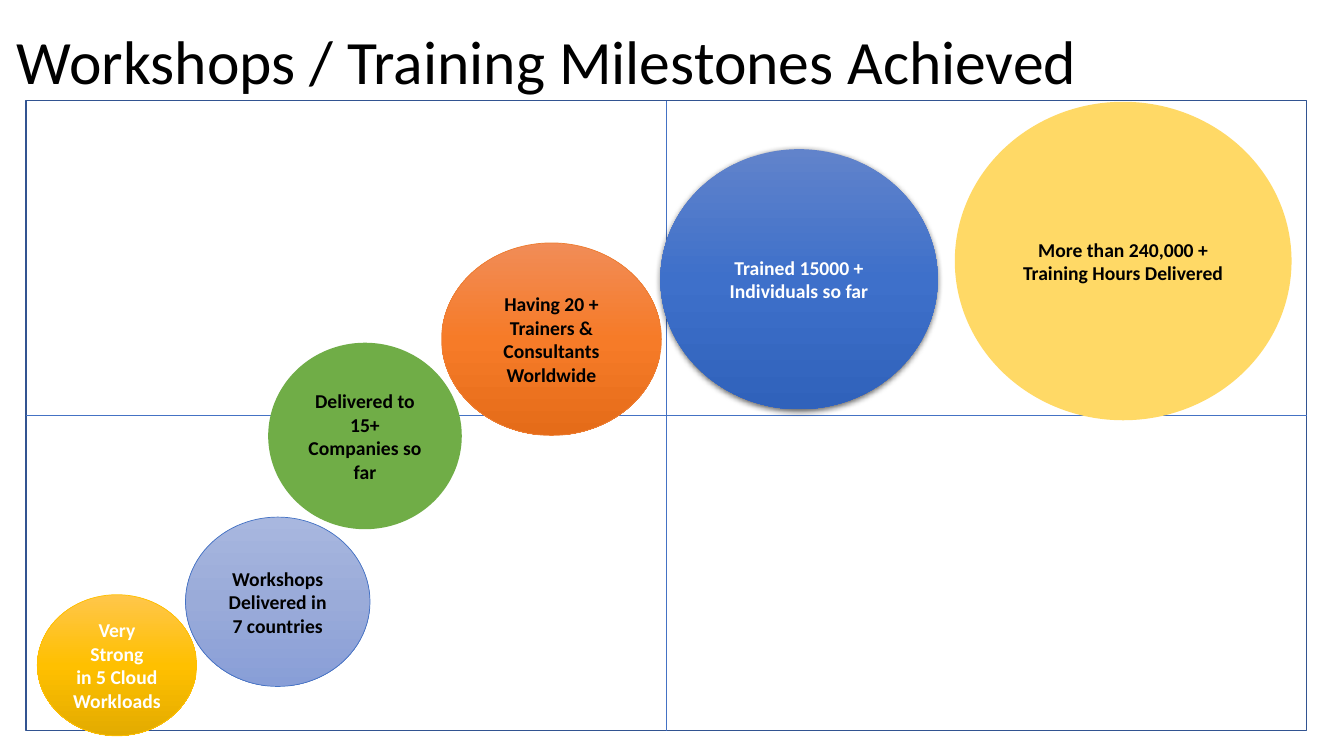
from lxml.etree import SubElement
from copy import deepcopy
from pptx import Presentation
from pptx.dml.color import RGBColor
from pptx.enum.shapes import MSO_CONNECTOR, MSO_SHAPE
from pptx.enum.text import MSO_ANCHOR, PP_ALIGN
from pptx.oxml.ns import qn
from pptx.util import Inches, Pt

FONT = "Calibri"
BLACK = RGBColor(0x00, 0x00, 0x00)
WHITE = RGBColor(0xFF, 0xFF, 0xFF)
NAVY = RGBColor(0x32, 0x54, 0x91)
BLUE = RGBColor(0x44, 0x72, 0xC4)
ORANGE = RGBColor(0xED, 0x7D, 0x31)
GOLD = RGBColor(0xFF, 0xC0, 0x00)
GREEN = RGBColor(0x70, 0xAD, 0x47)
PALE_GOLD = RGBColor(0xFF, 0xD9, 0x66)
GOLD_SHADES = (RGBColor(0xFF, 0xC6, 0x4B), GOLD, RGBColor(0xE3, 0xAB, 0x00))
LILAC_SHADES = (RGBColor(0xA8, 0xB7, 0xDF), RGBColor(0x9A, 0xAB, 0xD9), RGBColor(0x88, 0x9E, 0xD7))
ORANGE_SHADES = (RGBColor(0xF1, 0x8C, 0x57), RGBColor(0xF6, 0x7B, 0x28), RGBColor(0xE5, 0x6C, 0x19))
BLUE_SHADES = (RGBColor(0x61, 0x83, 0xCB), RGBColor(0x3E, 0x70, 0xCA), RGBColor(0x30, 0x62, 0xBB))

# Box relative to the grid, lines of text, text colour, fill shades, outline, shadow
MILESTONES = [
    ((0.11, 4.9, 1.58, 1.4), ["Very Strong", "in 5 Cloud Workloads"], WHITE, GOLD_SHADES, GOLD, False),
    ((1.58, 4.13, 1.83, 1.68), ["Workshops Delivered in 7 countries"], BLACK, LILAC_SHADES, BLUE, False),
    ((2.4, 2.4, 1.92, 1.85), ["Delivered to 15+ Companies so far"], BLACK, (GREEN,), None, False),
    ((4.12, 1.41, 2.18, 1.91), ["Having 20 + Trainers & Consultants Worldwide"], BLACK, ORANGE_SHADES, ORANGE, False),
    ((6.29, 0.48, 2.75, 2.58), ["Trained 15000 + Individuals so far"], WHITE, BLUE_SHADES, None, True),
    ((9.21, 0.01, 3.34, 3.16), ["More than 240,000 + Training Hours Delivered"], BLACK, (PALE_GOLD,), None, False),
]


def style_text(paragraph, size, color, bold=False):
    for run in paragraph.runs:
        run.font.name = FONT
        run.font.size = Pt(size)
        run.font.bold = bold
        run.font.color.rgb = color


def fill_shades(shape, shades):
    """Solid fill for one shade, otherwise an even top-to-bottom gradient."""
    if len(shades) == 1:
        shape.fill.solid()
        shape.fill.fore_color.rgb = shades[0]
        return
    shape.fill.gradient()
    shape.fill.gradient_angle = 270
    stop_list = shape._element.spPr.find(".//" + qn("a:gsLst"))
    while len(stop_list) < len(shades):
        stop_list.append(deepcopy(stop_list[0]))
    for index, (stop, shade) in enumerate(zip(shape.fill.gradient_stops, shades)):
        stop.position = index / (len(shades) - 1)
        stop.color.rgb = shade


def add_soft_shadow(shape):
    effects = shape._element.spPr.find(qn("a:effectLst"))
    shadow = SubElement(effects, qn("a:outerShdw"), blurRad=str(Pt(4.5)), dist=str(Pt(1.5)),
                        dir="5400000", algn="ctr", rotWithShape="0")
    shade = SubElement(shadow, qn("a:srgbClr"), val=str(BLACK))
    SubElement(shade, qn("a:alpha"), val="63000")


def add_title(slide, left, top, width, height):
    title = slide.shapes.add_textbox(Inches(left), Inches(top), Inches(width), Inches(height))
    frame = title.text_frame
    frame.word_wrap = True
    frame.vertical_anchor = MSO_ANCHOR.MIDDLE
    frame.text = "Workshops / Training Milestones Achieved"
    frame.paragraphs[0].line_spacing = 0.9
    style_text(frame.paragraphs[0], 44, BLACK)


def add_quadrants(slide, left, top, width, height):
    border = slide.shapes.add_shape(MSO_SHAPE.RECTANGLE, Inches(left), Inches(top),
                                    Inches(width), Inches(height))
    border.shadow.inherit = False
    border.fill.background()
    border.line.color.rgb = NAVY
    border.line.width = Pt(1)

    # Dividers join the middles of opposite sides
    for start, end in ((0, 2), (1, 3)):
        divider = slide.shapes.add_connector(MSO_CONNECTOR.STRAIGHT, 0, 0, 0, 0)
        divider.begin_connect(border, start)
        divider.end_connect(border, end)
        divider.line.color.rgb = BLUE
        divider.line.width = Pt(0.5)
        SubElement(divider._element.spPr, qn("a:effectLst"))


def add_milestone(slide, left, top, width, height, lines, text_color, shades, outline, shadowed):
    bubble = slide.shapes.add_shape(MSO_SHAPE.FLOWCHART_CONNECTOR, Inches(left), Inches(top),
                                    Inches(width), Inches(height))
    bubble.shadow.inherit = False
    fill_shades(bubble, shades)
    if outline is None:
        bubble.line.fill.background()
    else:
        bubble.line.color.rgb = outline
        bubble.line.width = Pt(0.5)
    if shadowed:
        add_soft_shadow(bubble)

    frame = bubble.text_frame
    frame.word_wrap = True
    frame.vertical_anchor = MSO_ANCHOR.MIDDLE
    frame.text = "\n".join(lines)
    for paragraph in frame.paragraphs:
        paragraph.alignment = PP_ALIGN.CENTER
        style_text(paragraph, 14, text_color, bold=True)


def add_milestone_chart(slide, left, top, width, height):
    add_quadrants(slide, left, top, width, height)
    for (x, y, bubble_width, bubble_height), *details in MILESTONES:
        add_milestone(slide, left + x, top + y, bubble_width, bubble_height, *details)


def main():
    deck = Presentation()
    deck.slide_width = Inches(13.33)
    deck.slide_height = Inches(7.5)
    slide = deck.slides.add_slide(deck.slide_layouts[6])
    add_title(slide, 0.07, 0.14, 13, 1)
    add_milestone_chart(slide, 0.26, 1, 12.7, 6.25)
    deck.save("out.pptx")


if __name__ == "__main__":
    main()
